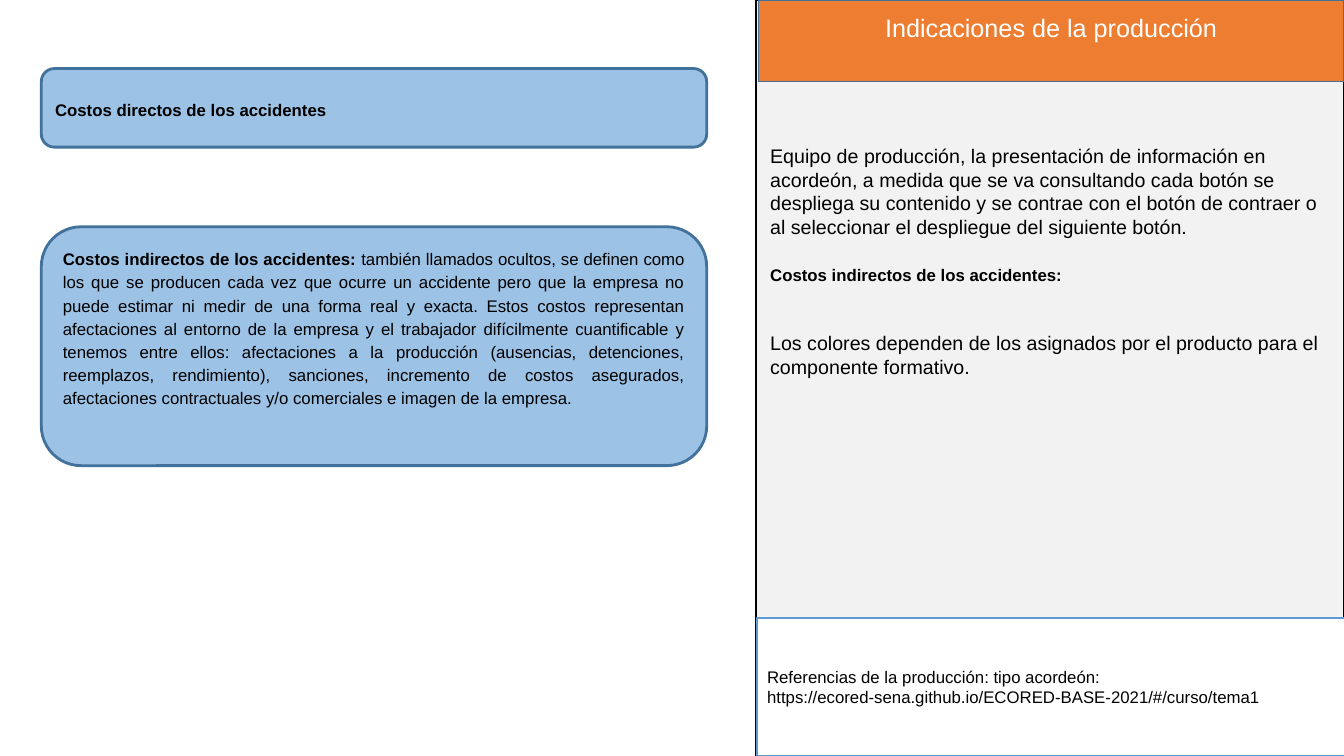
from pptx import Presentation
from pptx.dml.color import RGBColor
from pptx.enum.shapes import MSO_SHAPE as Preset
from pptx.enum.text import MSO_ANCHOR as Anchor, MSO_AUTO_SIZE as AutoSize, PP_ALIGN as Align
from pptx.util import Inches, Pt

FONT = "Arial"
BLACK, WHITE, GREY = "000000", "FFFFFF", "F2F2F2"
ORANGE, SKY, BLUE, STEEL = "ED7D31", "9CC2E5", "5B9BD5", "42719B"


def color(value):
    return RGBColor.from_string(value)


def paint(shape, fill, line, width):
    shape.fill.solid()
    shape.fill.fore_color.rgb = color(fill)
    shape.line.color.rgb = color(line)
    shape.line.width = Pt(width)


def add_panel(page, area, fill, line, width=1, preset=Preset.RECTANGLE):
    panel = page.shapes.add_shape(preset, *map(Inches, area))
    panel.shadow.inherit = False
    paint(panel, fill, line, width)
    return panel


def set_frame(shape, anchor, top=0.05, bottom=0.05):
    frame = shape.text_frame
    frame.word_wrap = True
    frame.auto_size = AutoSize.NONE
    frame.vertical_anchor = anchor
    frame.margin_left = frame.margin_right = Inches(0.1)
    frame.margin_top, frame.margin_bottom = Inches(top), Inches(bottom)
    return frame


def add_spans(para, spans, size, ink=BLACK, align=Align.LEFT, spacing=1.0, before=0):
    """Fill a paragraph with (text, bold) spans."""
    para.alignment = align
    para.line_spacing = spacing
    if before:
        para.space_before = Pt(before)
    for text, bold in spans:
        span = para.add_run()
        span.text = text
        span.font.name = FONT
        span.font.size = Pt(size)
        span.font.bold = bold
        span.font.color.rgb = color(ink)


def add_cost_button(page, top, height, spans, bottom=0.05):
    button = add_panel(page, (0.41, top, 6.6, height), SKY, STEEL, 2,
                       Preset.ROUNDED_RECTANGLE)
    frame = set_frame(button, Anchor.MIDDLE, bottom=bottom)
    add_spans(frame.paragraphs[0], spans, 12, align=Align.JUSTIFY, spacing=1.15)


def add_title(page):
    title = page.shapes.title
    title.left, title.top = Inches(7.52), Inches(0)
    title.width, title.height = Inches(5.81), Inches(0.81)
    paint(title, ORANGE, STEEL, 1)
    frame = set_frame(title, Anchor.TOP, top=0.12)
    add_spans(frame.paragraphs[0], [("Indicaciones de la producción", False)],
              18, WHITE, Align.CENTER)
    # Bring the title in front of the grey panel
    title.element.getparent().append(title.element)


def add_instructions(page):
    box = page.shapes.add_textbox(*map(Inches, (7.54, 1.38, 5.81, 3.3)))
    frame = set_frame(box, Anchor.TOP)
    add_spans(frame.paragraphs[0], [(
        "Equipo de producción, la presentación de información en acordeón, a medida "
        "que se va consultando cada botón se despliega su contenido y se contrae con "
        "el botón de contraer o al seleccionar el despliegue del siguiente botón.",
        False)], 14)
    add_spans(frame.add_paragraph(), [("Costos indirectos de los accidentes:", True)],
              12, align=Align.JUSTIFY, spacing=1.15, before=17)
    add_spans(frame.add_paragraph(), [(
        "Los colores dependen de los asignados por el producto para el componente "
        "formativo.", False)], 14, before=33)


def add_references(page):
    panel = add_panel(page, (7.51, 6.13, 5.83, 1.37), WHITE, BLUE)
    frame = set_frame(panel, Anchor.MIDDLE)
    add_spans(frame.paragraphs[0], [(
        "Referencias de la producción: tipo acordeón: "
        "https://ecored-sena.github.io/ECORED-BASE-2021/#/curso/tema1", False)], 12)


def main():
    deck = Presentation()
    deck.slide_width, deck.slide_height = Inches(13.33), Inches(7.5)
    page = deck.slides.add_slide(deck.slide_layouts[5])

    # Production notes on the right
    add_panel(page, (7.5, 0, 5.83, 7.5), GREY, BLACK)
    add_instructions(page)
    add_title(page)
    add_references(page)

    # Accordion buttons on the left
    add_cost_button(page, 0.68, 0.78, [("Costos directos de los accidentes", True)])
    add_cost_button(page, 2.25, 2.37, [
        ("Costos indirectos de los accidentes:", True),
        (" también llamados ocultos, se definen como los que se producen cada vez que "
         "ocurre un accidente pero que la empresa no puede estimar ni medir de una "
         "forma real y exacta. Estos costos representan afectaciones al entorno de la "
         "empresa y el trabajador difícilmente cuantificable y tenemos entre ellos: "
         "afectaciones a la producción (ausencias, detenciones, reemplazos, "
         "rendimiento), sanciones, incremento de costos asegurados, afectaciones "
         "contractuales y/o comerciales e imagen de la empresa.", False),
    ], bottom=0.43)

    deck.save("out.pptx")


if __name__ == "__main__":
    main()
